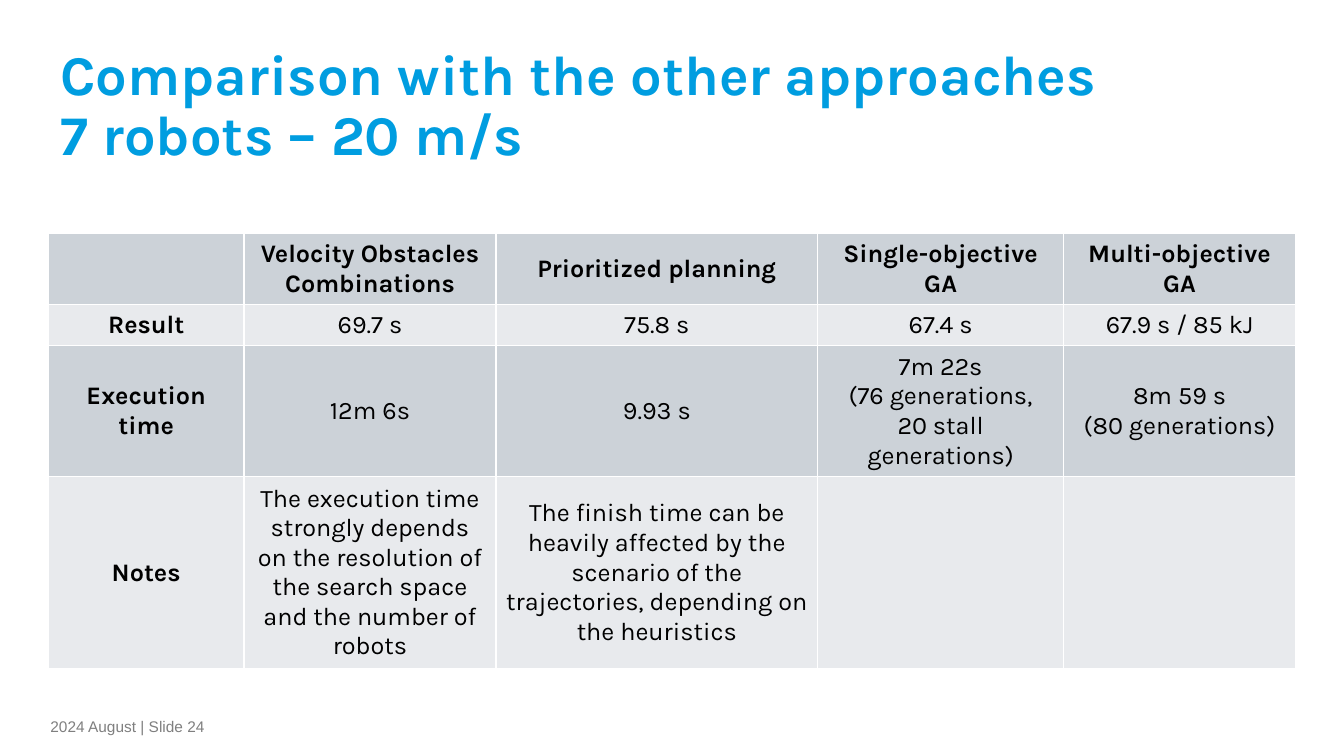
from lxml.etree import SubElement
from pptx import Presentation
from pptx.dml.color import RGBColor
from pptx.enum.text import MSO_ANCHOR as Anchor, PP_ALIGN as Align
from pptx.oxml.ns import qn
from pptx.util import Pt

PX = 9144
COLORS = {
    "title": "009DE0",
    "footer": "7F7F7F",
    "text": "000000",
    "dark_band": "CCD2D8",
    "light_band": "E8EAED",
    "border": "FFFFFF",
}
COLUMN_WIDTHS = [194, 250, 319, 244, 230]
ROW_HEIGHTS = [68, 41, 128, 185]
ROWS = [
    ["", "Velocity Obstacles\nCombinations", "Prioritized planning",
     "Single-objective GA", "Multi-objective GA"],
    ["Result", "69.7 s", "75.8 s", "67.4 s", "67.9 s / 85 kJ"],
    ["Execution time", "12m 6s", "9.93 s",
     "7m 22s\n(76 generations,\n20 stall generations)",
     "8m 59 s\n(80 generations)"],
    ["Notes",
     "The execution time strongly depends on the resolution of the search space "
     "and the number of robots",
     "The finish time can be heavily affected by the scenario of the trajectories, "
     "depending on the heuristics", "", ""],
]


def px(length):
    """Turn whole pixels into EMU."""
    return length * PX


def write(frame, text, *, size, color, font="Karla", bold=False,
          align=Align.LEFT, spacing=None):
    """Fill a text frame with one formatted paragraph per line of text."""
    for index, line in enumerate(text.split("\n")):
        para = frame.paragraphs[0] if index == 0 else frame.add_paragraph()
        para.alignment = align
        para.line_spacing = spacing
        para.font.size = Pt(size)
        span = para.add_run()
        span.text = line
        span.font.name = font
        span.font.size = Pt(size)
        span.font.bold = bold
        span.font.color.rgb = RGBColor.from_string(COLORS[color])


def add_text(page, text, left, top, width, height, *, insets, **style):
    """Add a wrapped, vertically centred text box."""
    box = page.shapes.add_textbox(px(left), px(top), px(width), px(height))
    frame = box.text_frame
    frame.word_wrap = True
    frame.vertical_anchor = Anchor.MIDDLE
    side, upper, lower = (px(inset) for inset in insets)
    frame.margin_left = frame.margin_right = side
    frame.margin_top, frame.margin_bottom = upper, lower
    write(frame, text, **style)


def add_borders(cell):
    """Draw a thin line on all four sides of a cell."""
    properties = cell._tc.get_or_add_tcPr()
    for index, side in enumerate(("lnL", "lnR", "lnT", "lnB")):
        line = properties.makeelement(qn(f"a:{side}"), {"w": str(Pt(1))})
        properties.insert(index, line)
        fill = SubElement(line, qn("a:solidFill"))
        SubElement(fill, qn("a:srgbClr"), val=COLORS["border"])


def add_comparison(page, left, top):
    """Add the banded table with bold headings in its first row and column."""
    table = page.shapes.add_table(
        len(ROWS), len(COLUMN_WIDTHS), px(left), px(top),
        px(sum(COLUMN_WIDTHS)), px(sum(ROW_HEIGHTS))).table
    for column, width in zip(table.columns, COLUMN_WIDTHS):
        column.width = px(width)
    for row_index, (row, height) in enumerate(zip(table.rows, ROW_HEIGHTS)):
        row.height = px(height)
        band = "light_band" if row_index % 2 else "dark_band"
        for column_index, text in enumerate(ROWS[row_index]):
            cell = table.cell(row_index, column_index)
            cell.vertical_anchor = Anchor.MIDDLE
            cell.fill.solid()
            cell.fill.fore_color.rgb = RGBColor.from_string(COLORS[band])
            add_borders(cell)
            if text:
                write(cell.text_frame, text, size=18, color="text",
                      bold=row_index == 0 or column_index == 0,
                      align=Align.CENTER)


def main():
    """Build and save the slide."""
    deck = Presentation()
    deck.slide_width, deck.slide_height = px(1333), px(750)
    page = deck.slides.add_slide(deck.slide_layouts[6])
    add_text(page, "Comparison with the other approaches\n7 robots – 20 m/s",
             50, 60, 1257, 93, insets=(10, 5, 5), size=40, color="title",
             bold=True, spacing=0.9)
    add_text(page, "2024 August | Slide 24", 50, 712, 233, 22,
             insets=(0, 0, 5), size=11, color="footer", font="Arial")
    add_comparison(page, 48, 232)
    deck.save("out.pptx")


if __name__ == "__main__":
    main()
